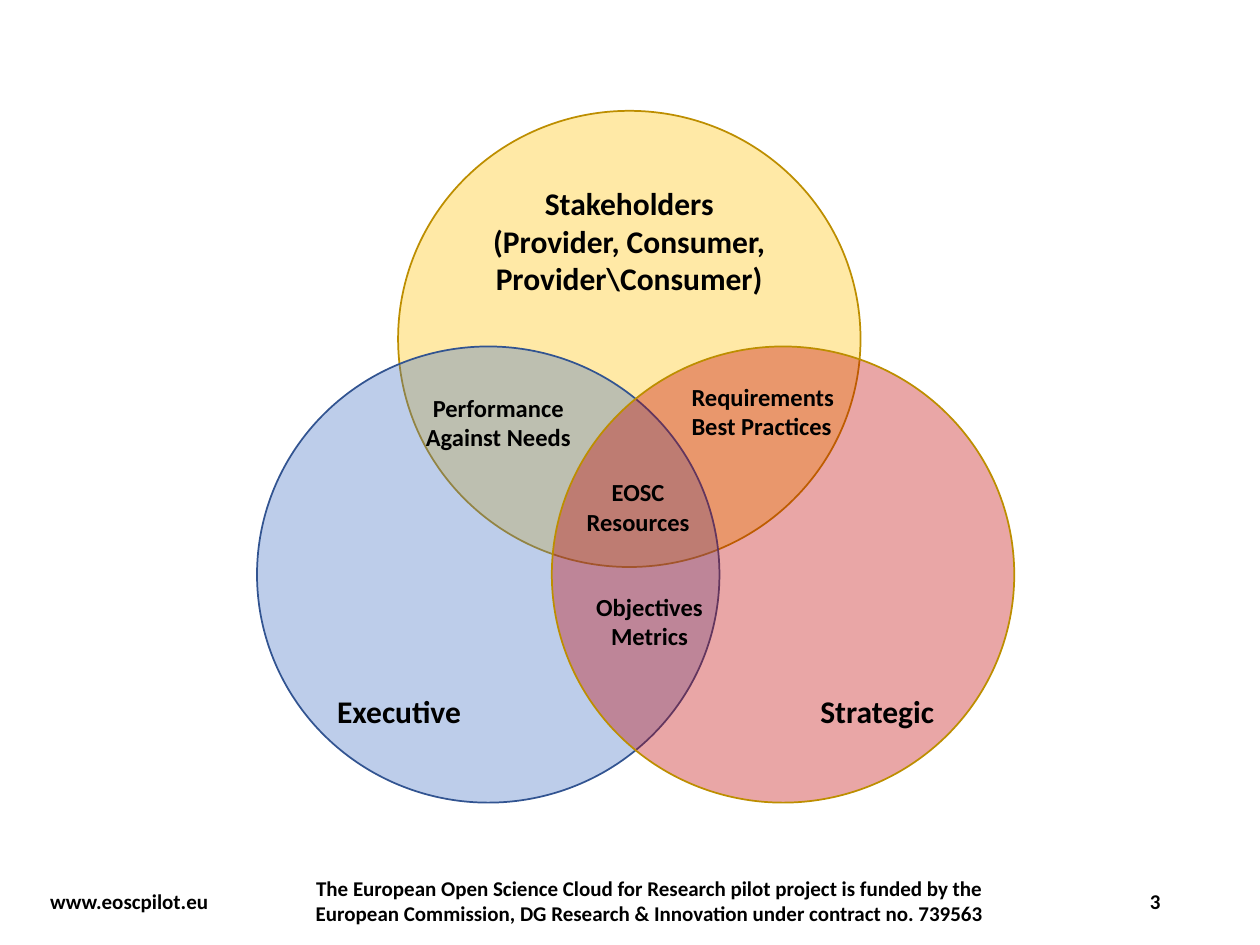
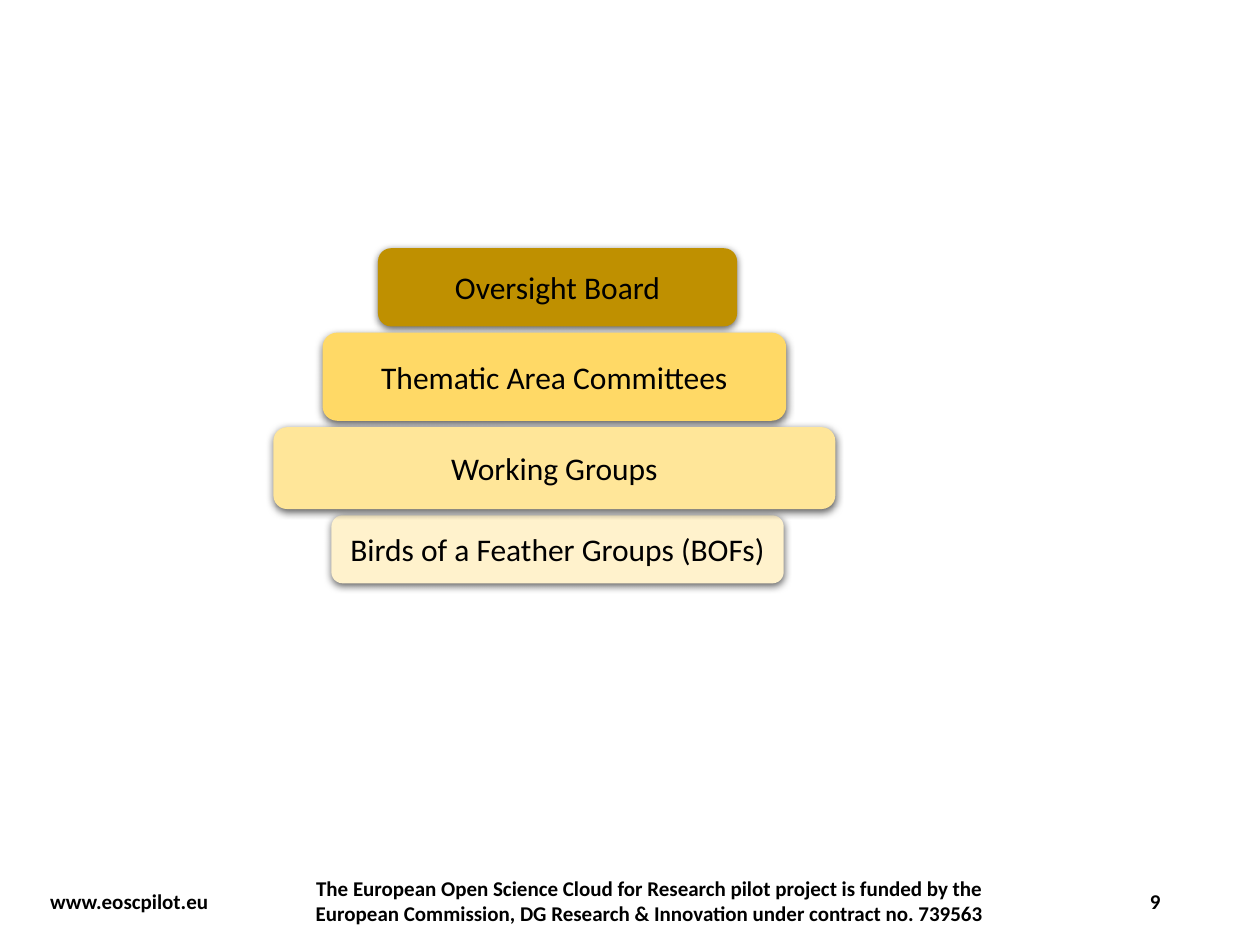
"""Build two governance slides: a Venn diagram of roles and a stack of groups."""
import pptx
import pptx.util
import pptx.dml.color
import pptx.enum.shapes
import pptx.enum.text
import pptx.oxml
import pptx.oxml.ns

Inches, Pt = pptx.util.Inches, pptx.util.Pt
RGB = pptx.dml.color.RGBColor.from_string
SHAPE = pptx.enum.shapes.MSO_SHAPE
ALIGN = pptx.enum.text.PP_ALIGN
ANCHOR = pptx.enum.text.MSO_ANCHOR
AUTO = pptx.enum.text.MSO_AUTO_SIZE

THEME = {
    "font": "Calibri", "text": "000000",
    "large": 18, "medium": 14, "small": 12,
    "gold": "FFC000", "blue": "4472C4", "red": "C00000",
    "gold_line": "BD8E00", "blue_line": "325491",
    "bars": ("BF9000", "FFD966", "FFE699", "FFF2CC"),
}
NS = pptx.oxml.ns.nsdecls("a")
ALPHA = f'<a:alpha {NS} val="35000"/>'
SHADOW = (f'<a:effectLst {NS}><a:outerShdw blurRad="57150" dist="19050" dir="5400000" '
          'algn="ctr" rotWithShape="0"><a:srgbClr val="000000"><a:alpha val="63000"/>'
          '</a:srgbClr></a:outerShdw></a:effectLst>')


def write(sp, lines, size, align=ALIGN.CENTER, bold=True, **frame):
    """Fill a shape with one paragraph per line."""
    tf = sp.text_frame
    for name, value in {"word_wrap": True, **frame}.items():
        setattr(tf, name, value)
    for i, line in enumerate(lines):
        p = tf.paragraphs[0] if i == 0 else tf.add_paragraph()
        p.alignment = align
        r = p.add_run()
        r.text = line
        for name, value in {"name": THEME["font"], "size": Pt(THEME[size]), "bold": bold}.items():
            setattr(r.font, name, value)
        r.font.color.rgb = RGB(THEME["text"])


def add_slide(prs, number):
    """Add a blank slide with the shared footer."""
    s = prs.slides.add_slide(prs.slide_layouts[6])
    for x, w, text, align in (
        (0.3, 1.48, "www.eoscpilot.eu", ALIGN.LEFT),
        (2.37, 5.57, "The European Open Science Cloud for Research pilot project is funded by the "
         "European Commission, DG Research & Innovation under contract no. 739563", ALIGN.CENTER),
        (8.71, 0.6, number, ALIGN.RIGHT),
    ):
        sp = s.shapes.add_textbox(Inches(x), Inches(6.95), Inches(w), Inches(0.4))
        write(sp, [text], "small", align, vertical_anchor=ANCHOR.MIDDLE)
    return s


prs = pptx.Presentation()
prs.slide_width, prs.slide_height = Inches(10), Inches(7.5)

s = add_slide(prs, "3")
for x, y, fill, line, lines, align, anchor in (
    (3.16, 0.88, "gold", "gold_line", ["Stakeholders", "(Provider, Consumer, Provider\\Consumer)"],
     ALIGN.CENTER, ANCHOR.TOP),
    (2.04, 2.75, "blue", "blue_line", ["Executive"], ALIGN.LEFT, ANCHOR.BOTTOM),
    (4.38, 2.75, "red", "gold_line", ["Strategic"], ALIGN.RIGHT, ANCHOR.BOTTOM),
):
    sp = s.shapes.add_shape(SHAPE.OVAL, Inches(x), Inches(y), Inches(3.67), Inches(3.62))
    sp.shadow.inherit = False
    sp.fill.solid()
    sp.fill.fore_color.rgb = RGB(THEME[fill])
    color = sp._element.spPr.find(pptx.oxml.ns.qn("a:solidFill"))[0]
    color.append(pptx.oxml.parse_xml(ALPHA))
    sp.line.color.rgb = RGB(THEME[line])
    sp.line.width = Pt(1)
    write(sp, lines, "large", align, vertical_anchor=anchor)

for x, y, lines, align in (
    (5.39, 2.98, ["Requirements", "Best Practices"], ALIGN.LEFT),
    (4.47, 4.65, ["Objectives", "Metrics"], ALIGN.CENTER),
    (3.27, 3.07, ["Performance Against Needs"], ALIGN.CENTER),
    (4.38, 3.74, ["EOSC Resources"], ALIGN.CENTER),
):
    sp = s.shapes.add_textbox(Inches(x), Inches(y), Inches(1.37), Inches(0.57))
    write(sp, lines, "medium", align, auto_size=AUTO.SHAPE_TO_FIT_TEXT)

s = add_slide(prs, "9")
bars = (
    (3, 1.97, 2.85, 0.62, "Oversight Board"),
    (2.56, 2.64, 3.68, 0.7, "Thematic Area Committees"),
    (2.17, 3.39, 4.46, 0.65, "Working Groups"),
    (2.63, 4.09, 3.59, 0.54, "Birds of a Feather Groups (BOFs)"),
)
order = (3, 0, 1, 2)
for i in order:
    *box, text = bars[i]
    sp = s.shapes.add_shape(SHAPE.ROUNDED_RECTANGLE, *map(Inches, box))
    sp.fill.solid()
    sp.fill.fore_color.rgb = RGB(THEME["bars"][i])
    sp.line.fill.background()
    sp._element.spPr.append(pptx.oxml.parse_xml(SHADOW))
    write(sp, [text], "large", bold=False, vertical_anchor=ANCHOR.MIDDLE)

prs.save("out.pptx")
